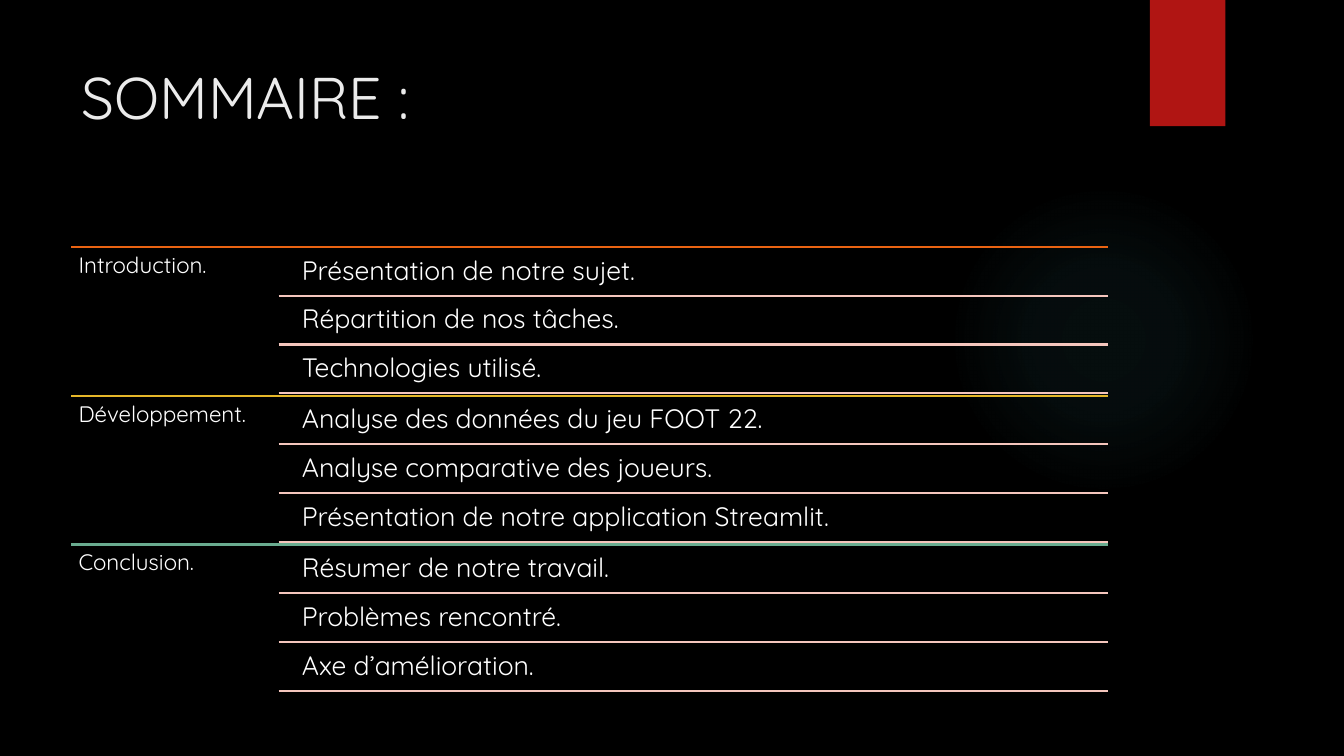
from dataclasses import dataclass

from lxml import etree
from pptx import Presentation
from pptx import util as u
from pptx.dml.color import RGBColor
from pptx.enum import shapes, text
from pptx.oxml import parse_xml
from pptx.oxml.ns import nsdecls, qn


@dataclass(frozen=True)
class Theme:
    font: str = "Quicksand"
    background: str = "000000"
    title: str = "EBEBEB"
    body: str = "FFFFFF"
    ribbon: str = "B01513"
    glow: str = "50B9C1"
    row_line: str = "F5C6BD"
    section_lines: tuple = ("EA6312", "E6B729", "6AAC90")
    title_size: int = 42
    section_size: int = 16
    row_size: int = 19
    line_width: float = 1.5


@dataclass(frozen=True)
class Box:
    left: float
    top: float
    width: float
    height: float

    def lengths(self):
        return [u.Cm(value) for value in (self.left, self.top, self.width, self.height)]


THEME = Theme()
SECTIONS = [
    ("Introduction.", [
        "Présentation de notre sujet.",
        "Répartition de nos tâches.",
        "Technologies utilisé.",
    ]),
    ("Développement.", [
        "Analyse des données du jeu FOOT 22.",
        "Analyse comparative des joueurs.",
        "Présentation de notre application Streamlit.",
    ]),
    ("Conclusion.", [
        "Résumer de notre travail.",
        "Problèmes rencontré.",
        "Axe d’amélioration.",
    ]),
]


def apply_format(target, values):
    for name, value in values.items():
        setattr(target, name, value)


def write_text(shape, wording, size, color, inset, spacing=1.0):
    frame = shape.text_frame
    margin = u.Cm(inset)
    apply_format(frame, {
        "word_wrap": True,
        "auto_size": text.MSO_AUTO_SIZE.NONE,
        "vertical_anchor": text.MSO_ANCHOR.TOP,
        "margin_left": margin,
        "margin_top": margin,
        "margin_right": margin,
        "margin_bottom": margin,
    })
    paragraph = frame.paragraphs[0]
    apply_format(paragraph, {"alignment": text.PP_ALIGN.LEFT, "line_spacing": spacing})
    run = paragraph.add_run()
    run.text = wording
    apply_format(run.font, {"name": THEME.font, "size": u.Pt(size)})
    run.font.color.rgb = RGBColor.from_string(color)


def add_rule(container, left, right, top, color):
    connector = container.add_connector(
        shapes.MSO_CONNECTOR.STRAIGHT, u.Cm(left), u.Cm(top), u.Cm(right), u.Cm(top))
    connector.line.color.rgb = RGBColor.from_string(color)
    connector.line.width = u.Pt(THEME.line_width)
    etree.SubElement(connector.element.spPr, qn("a:effectLst"))


def add_plain_shape(slide, kind, box):
    shape = slide.shapes.add_shape(kind, *box.lengths())
    shape.shadow.inherit = False
    shape.line.fill.background()
    return shape


def add_glow(slide, box):
    glow = add_plain_shape(slide, shapes.MSO_SHAPE.OVAL, box)
    stops = "".join(
        f'<a:gs pos="{position * 1000}"><a:srgbClr val="{THEME.glow}">'
        f'<a:alpha val="{alpha * 1000}"/></a:srgbClr></a:gs>'
        for position, alpha in ((0, 7), (36, 6), (69, 0)))
    gradient = parse_xml(
        f'<a:gradFill {nsdecls("a")}><a:gsLst>{stops}</a:gsLst><a:path path="circle">'
        '<a:fillToRect l="50000" t="50000" r="50000" b="50000"/></a:path></a:gradFill>')
    glow.element.spPr.find(qn("a:prstGeom")).addnext(gradient)


def add_ribbon(slide, box):
    ribbon = add_plain_shape(slide, shapes.MSO_SHAPE.RECTANGLE, box)
    ribbon.fill.solid()
    ribbon.fill.fore_color.rgb = RGBColor.from_string(THEME.ribbon)


def add_title(slide, box, wording):
    title = slide.shapes.title
    apply_format(title, dict(zip(("left", "top", "width", "height"), box.lengths())))
    write_text(title, wording, THEME.title_size, THEME.title, inset=0.25)


def add_section(container, box, heading, rows, color):
    heading_width, text_indent = 5.22, 5.61
    row_pitch, row_height, row_offset = 1.23, 1.17, 0.06
    right = box.left + box.width
    add_rule(container, box.left, right, box.top, color)
    heading_box = Box(box.left, box.top, heading_width, box.height)
    write_text(container.add_textbox(*heading_box.lengths()), heading,
               THEME.section_size, THEME.body, inset=0.18, spacing=0.9)
    for index, wording in enumerate(rows):
        row_top = box.top + index * row_pitch
        row_box = Box(box.left + text_indent, row_top + row_offset,
                      box.width - text_indent, row_height)
        write_text(container.add_textbox(*row_box.lengths()), wording,
                   THEME.row_size, THEME.body, inset=0.2, spacing=0.9)
        add_rule(container, box.left + heading_width, right,
                 row_top + row_pitch, THEME.row_line)


def add_summary(slide, box, sections):
    container = slide.shapes.add_group_shape().shapes
    height = box.height / len(sections)
    for index, ((heading, rows), color) in enumerate(zip(sections, THEME.section_lines)):
        section_box = Box(box.left, box.top + index * height, box.width, height)
        add_section(container, section_box, heading, rows, color)


def build_summary_slide(presentation):
    slide = presentation.slides.add_slide(presentation.slide_layouts[5])
    slide.background.fill.solid()
    slide.background.fill.fore_color.rgb = RGBColor.from_string(THEME.background)
    add_glow(slide, Box(23.9, 4.65, 7.82, 7.82))
    add_ribbon(slide, Box(28.98, 0, 1.9, 3.18))
    add_title(slide, Box(1.8, 1.27, 26.12, 3.89), "SOMMAIRE :")
    add_summary(slide, Box(1.8, 6.22, 26.12, 11.25), SECTIONS)


def main():
    presentation = Presentation()
    apply_format(presentation, {"slide_width": u.Cm(33.87), "slide_height": u.Cm(19.05)})
    build_summary_slide(presentation)
    presentation.save("out.pptx")


if __name__ == "__main__":
    main()
